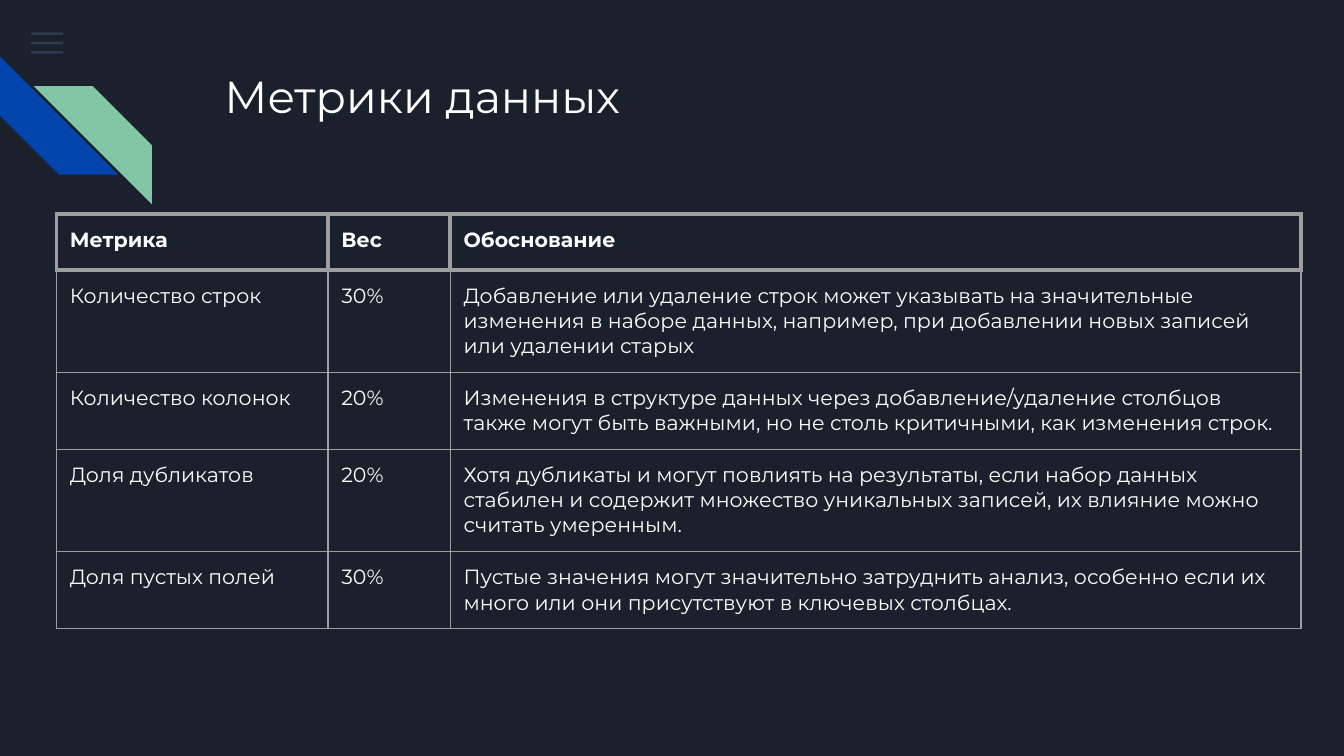
from lxml.etree import SubElement
from pptx import Presentation
from pptx.dml.color import RGBColor
from pptx.enum.shapes import MSO_SHAPE
from pptx.enum.text import MSO_ANCHOR, MSO_AUTO_SIZE, PP_ALIGN
from pptx.oxml.ns import qn
from pptx.util import Inches, Pt

COLORS = {
    "background": "1B212C",
    "menu": "55688B",
    "blue": "0145AC",
    "green": "82C7A5",
    "text": "FFFFFF",
    "border": "9E9E9E",
}
FONT = "Montserrat"
ROWS = [
    ("Метрика", "Вес", "Обоснование"),
    ("Количество строк", "30%",
     "Добавление или удаление строк может указывать на значительные изменения "
     "в наборе данных, например, при добавлении новых записей или удалении старых"),
    ("Количество колонок", "20%",
     "Изменения в структуре данных через добавление/удаление столбцов также могут "
     "быть важными, но не столь критичными, как изменения строк."),
    ("Доля дубликатов", "20%",
     "Хотя дубликаты и могут повлиять на результаты, если набор данных стабилен и "
     "содержит множество уникальных записей, их влияние можно считать умеренным."),
    ("Доля пустых полей", "30%",
     "Пустые значения могут значительно затруднить анализ, особенно если их много "
     "или они присутствуют в ключевых столбцах."),
]

deck = Presentation()
deck.slide_width, deck.slide_height = Inches(10), Inches(5.625)
UNIT = deck.slide_width / 100  # the grid has 100 square columns across
PADDING = round(UNIT)


def write(frame, text, size, bold=False):
    frame.word_wrap = True
    paragraph = frame.paragraphs[0]
    paragraph.alignment = PP_ALIGN.LEFT
    span = paragraph.add_run()
    span.text = text
    span.font.name = FONT
    span.font.size = Pt(size)
    span.font.bold = bold
    span.font.color.rgb = RGBColor.from_string(COLORS["text"])


def add_plain_shape(kind, color, *place):
    """Add a filled shape without outline; place is left, top, width, height in units."""
    shape = page.shapes.add_shape(kind, *(round(value * UNIT) for value in place))
    shape.shadow.inherit = False
    shape.fill.solid()
    shape.fill.fore_color.rgb = RGBColor.from_string(COLORS[color])
    shape.line.fill.background()
    return shape


page = deck.slides.add_slide(deck.slide_layouts[5])
page.background.fill.solid()
page.background.fill.fore_color.rgb = RGBColor.from_string(COLORS["background"])

# Menu icon: three translucent bars
for index in range(3):
    bar = add_plain_shape(MSO_SHAPE.RECTANGLE, "menu", 2.3, 2.4 + 0.7 * index, 2.4, 0.2)
    tint = bar.fill._xPr.find(".//" + qn("a:srgbClr"))
    SubElement(tint, qn("a:alpha"), val="36000")

# Two diagonal stripes in the corner
for color, left, top, rotation in (("blue", 0, 4.2, 270), ("green", 2.5, 6.4, 90)):
    stripe = add_plain_shape(MSO_SHAPE.DIAGONAL_STRIPE, color, left, top, 8.8, 8.8)
    stripe.rotation = rotation

title = page.shapes.title
title.left, title.top, title.width, title.height = (
    round(value * UNIT) for value in (15.7, 4.1, 81.1, 6.2))
frame = title.text_frame
frame.auto_size = MSO_AUTO_SIZE.NONE
frame.vertical_anchor = MSO_ANCHOR.TOP
frame.margin_left = frame.margin_right = frame.margin_top = frame.margin_bottom = PADDING
write(frame, "Метрики данных", 24)

column_widths = [20.2, 9.1, 63.3]
row_heights = [4.2, 7.6, 5.7, 7.6, 5.7]
table = page.shapes.add_table(
    len(row_heights), len(column_widths), round(4.2 * UNIT), round(15.9 * UNIT),
    round(sum(column_widths) * UNIT), round(sum(row_heights) * UNIT)).table
table.first_row = table.horz_banding = False
for column, width in zip(table.columns, column_widths):
    column.width = round(width * UNIT)

for index, texts in enumerate(ROWS):
    table.rows[index].height = round(row_heights[index] * UNIT)
    for cell, text in zip(table.rows[index].cells, texts):
        cell.margin_left = cell.margin_right = PADDING
        cell.margin_top = cell.margin_bottom = PADDING
        cell.vertical_anchor = MSO_ANCHOR.TOP
        write(cell.text_frame, text, 11, bold=index == 0)
        for side in "LRTB":
            thick = index == 0 or (index == 1 and side == "T")
            border = SubElement(cell._tc.get_or_add_tcPr(), qn("a:ln" + side),
                                w=str(Pt(2.25 if thick else 0.75)))
            SubElement(SubElement(border, qn("a:solidFill")), qn("a:srgbClr"),
                       val=COLORS["border"])
        cell.fill.background()

deck.save("out.pptx")
